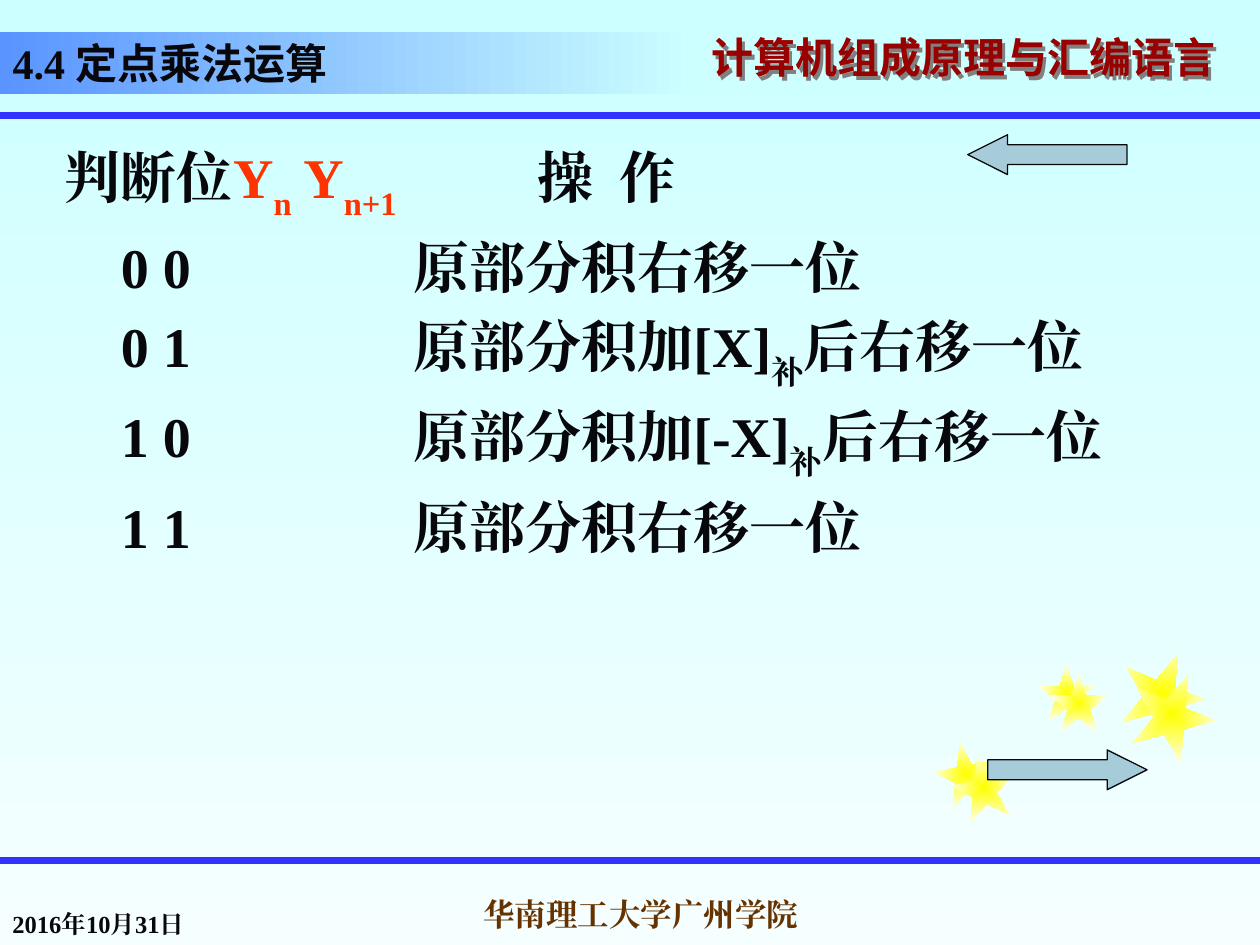
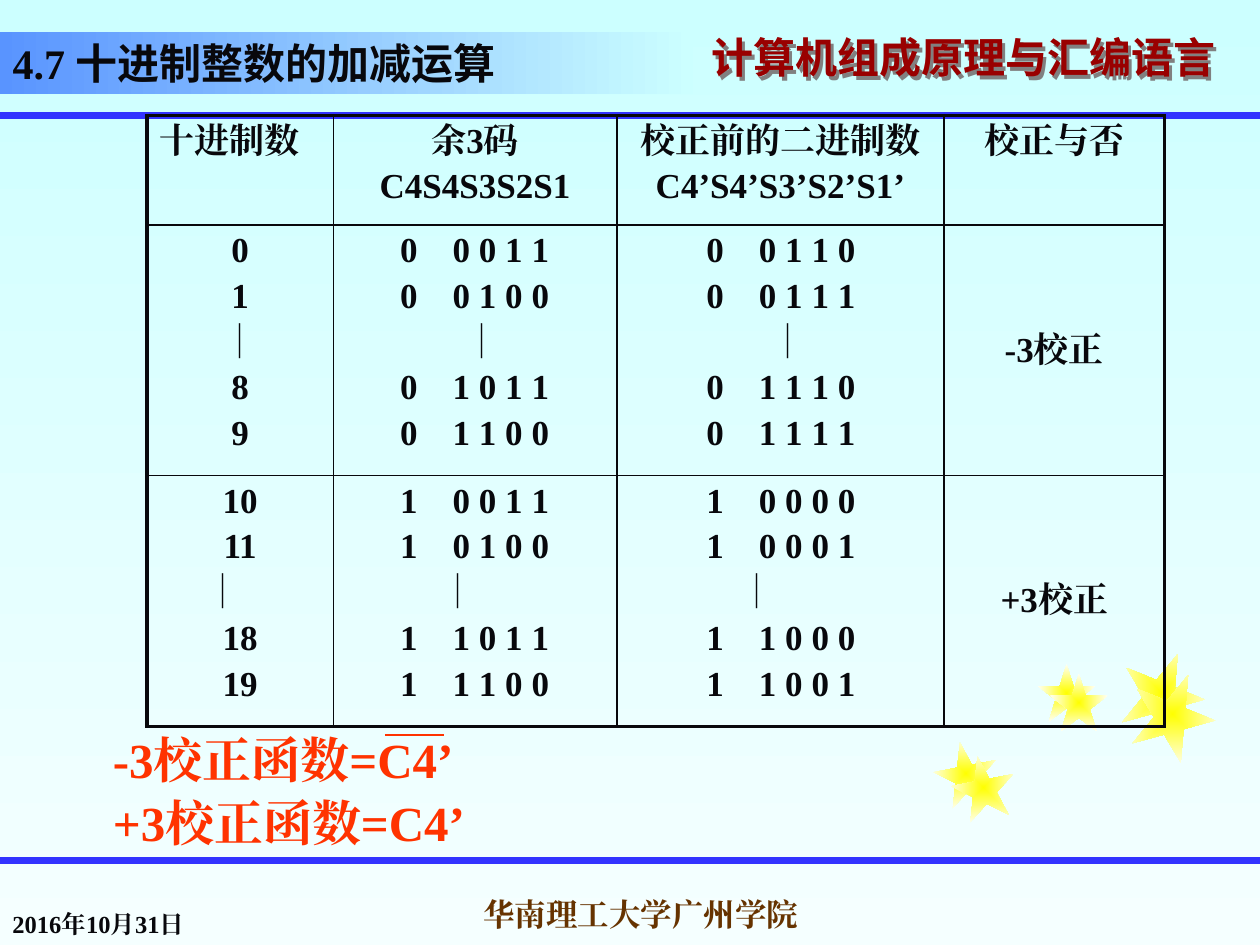
from lxml.etree import SubElement
from pptx import Presentation
from pptx.dml.color import RGBColor
from pptx.enum.shapes import MSO_CONNECTOR, MSO_SHAPE
from pptx.enum.text import MSO_ANCHOR, MSO_AUTO_SIZE, PP_ALIGN
from pptx.oxml.ns import qn
from pptx.util import Pt

INK = RGBColor(0x08, 0x08, 0x0C)
CRIMSON = RGBColor(0x99, 0x00, 0x00)
BROWN = RGBColor(0x66, 0x33, 0x00)
ORANGE = RGBColor(0xFF, 0x33, 0x00)
RULE_BLUE = RGBColor(0x33, 0x33, 0xFF)
BAND_BLUE = RGBColor(0x59, 0x94, 0xFF)
SKY = RGBColor(0xCC, 0xFF, 0xFF)
PALE = RGBColor(0xF5, 0xFF, 0xFF)
YELLOW = RGBColor(0xFF, 0xFF, 0x00)
CREAM = RGBColor(0xFF, 0xFF, 0xF5)
ARROW_FILL = RGBColor(0xA7, 0xCC, 0xD9)

SERIF = "Times New Roman"
SANS = "Noto Sans CJK SC"
BAR = "｜"

# Stars: left, top, size, rotation
STARS = [
    (534, 424, 36, 349), (593, 379.5, 33, 0), (640, 372, 48, 22),
    (544, 432, 36, 349), (600, 385, 33, 0), (646, 384, 48, 22),
]

# Table geometry
COLUMN_WIDTHS = [106.5, 162, 187, 126]
ROW_HEIGHTS = [62.5, 141, 137]
CODE_TABS = [None, (31, 61), (44, 74)]
BAR_INDENTS = [(None, 67.5, 80.5), (26, 54, 63)]


# Text
def add_span(para, text, size, color, font=SERIF, baseline=0):
    span = para.add_run()
    span.text = text
    span.font.size = Pt(size)
    span.font.bold = True
    span.font.color.rgb = color
    span.font.name = font
    properties = span._r.get_or_add_rPr()
    SubElement(properties, qn("a:ea"), typeface=font)
    if baseline:
        properties.set("baseline", str(baseline * 1000))


def next_para(frame, align=PP_ALIGN.LEFT, tabs=(), line_spacing=None):
    """Start a paragraph; all but the first get 20% space before."""
    first = frame.paragraphs[0]
    para = frame.add_paragraph() if first.runs else first
    para.alignment = align
    if line_spacing:
        para.line_spacing = line_spacing
    properties = para._p.get_or_add_pPr()
    if para is not first:
        para.space_before = Pt(0)
        spacing = properties.find(qn("a:spcBef"))
        spacing.remove(spacing[0])
        SubElement(spacing, qn("a:spcPct"), val="20000")
    if tabs:
        tab_list = SubElement(properties, qn("a:tabLst"))
        for stop in tabs:
            SubElement(tab_list, qn("a:tab"), pos=str(Pt(stop)), algn="l")
    return para


def add_box(page, left, top, width, height, anchor=MSO_ANCHOR.TOP, wrap=True):
    box = page.shapes.add_textbox(Pt(left), Pt(top), Pt(width), Pt(height))
    box.text_frame.word_wrap = wrap
    box.text_frame.vertical_anchor = anchor
    return box


# Fills, lines and shapes
def set_gradient(fill, start, end, angle=0):
    fill.gradient()
    fill.gradient_angle = angle
    for stop, color, position in zip(fill.gradient_stops, (start, end), (0, 1)):
        stop.color.rgb = color
        stop.position = position


def add_line(page, left, right, y, color, weight):
    line = page.shapes.add_connector(
        MSO_CONNECTOR.STRAIGHT, Pt(left), Pt(y), Pt(right), Pt(y))
    line.line.color.rgb = color
    line.line.width = Pt(weight)
    SubElement(line._element.spPr, qn("a:effectLst"))


def add_star(page, left, top, size, rotation):
    star = page.shapes.add_shape(
        MSO_SHAPE.STAR_5_POINT, Pt(left), Pt(top), Pt(size), Pt(size))
    star.rotation = rotation
    star.shadow.inherit = False
    star.line.fill.background()
    set_gradient(star.fill, YELLOW, CREAM)
    gradient = star._element.spPr.find(qn("a:gradFill"))
    gradient.remove(gradient.find(qn("a:lin")))
    radial = SubElement(gradient, qn("a:path"))
    radial.set("path", "shape")
    SubElement(radial, qn("a:fillToRect"), l="50000", t="50000", r="50000", b="50000")


def add_arrow(page, preset, left, top):
    arrow = page.shapes.add_shape(preset, Pt(left), Pt(top), Pt(91), Pt(22.75))
    arrow.adjustments[0] = 0.5
    arrow.adjustments[1] = 1
    arrow.shadow.inherit = False
    arrow.fill.solid()
    arrow.fill.fore_color.rgb = ARROW_FILL
    arrow.line.color.rgb = INK
    arrow.line.width = Pt(0.75)


# Shared frame of every slide
def add_course_name(page):
    box = add_box(page, 399.5, 18, 320.5, 36, MSO_ANCHOR.MIDDLE)
    para = next_para(box.text_frame, line_spacing=0.7)
    add_span(para, "计算机组成原理与汇编语言", 24, CRIMSON, SANS)
    effects = SubElement(box._element.spPr, qn("a:effectLst"))
    shadow = SubElement(effects, qn("a:outerShdw"), dist="35900", dir="2700000")
    SubElement(shadow, qn("a:srgbClr"), val="808080")


def add_title(page, number, heading):
    title = page.shapes.title
    title.left, title.top, title.width, title.height = Pt(0), Pt(18), Pt(396), Pt(36)
    set_gradient(title.fill, BAND_BLUE, SKY)
    frame = title.text_frame
    frame.auto_size = MSO_AUTO_SIZE.NONE
    frame.word_wrap = True
    frame.vertical_anchor = MSO_ANCHOR.BOTTOM
    para = next_para(frame)
    add_span(para, number + " ", 24, INK)
    add_span(para, heading, 24, INK, SANS)


def add_page(deck, number, heading):
    page = deck.slides.add_slide(deck.slide_layouts[5])
    set_gradient(page.background.fill, SKY, PALE, 270)
    add_course_name(page)
    for y in (66, 491.75):
        add_line(page, 0, 720, y, RULE_BLUE, 4.5)
    for star in STARS:
        add_star(page, *star)
    date = add_box(page, 0, 504, 150, 36, MSO_ANCHOR.BOTTOM)
    add_span(next_para(date.text_frame), "2016年10月31日", 14, INK)
    school = add_box(page, 252, 504, 228, 36, MSO_ANCHOR.MIDDLE, wrap=False)
    add_span(next_para(school.text_frame, PP_ALIGN.CENTER),
             "华南理工大学广州学院", 18, BROWN)
    add_title(page, number, heading)
    return page


# Slide 1: operation chosen by the two test bits
def add_operations(page):
    frame = add_box(page, 30, 77.75, 642, 397.5).text_frame
    header = next_para(frame, tabs=(270, 317))
    add_span(header, "判断位", 32, INK)
    for text, baseline in (("Y", 0), ("n", -30), (" Y", 0), ("n+1", -30)):
        add_span(header, text, 32, ORANGE, baseline=baseline)
    add_span(header, "\t操\t作", 32, INK)

    shift = "原部分积右移一位"
    for bits, operand in (("0 0", None), ("0 1", "[X]"), ("1 0", "[-X]"), ("1 1", None)):
        para = next_para(frame, tabs=(32, 199))
        if operand:
            add_span(para, f"\t{bits}\t原部分积加{operand}", 32, INK)
            add_span(para, "补", 32, INK, baseline=-30)
            add_span(para, "后右移一位", 32, INK)
        else:
            add_span(para, f"\t{bits}\t{shift}", 32, INK)


# Slide 2: excess-3 correction table
def set_borders(cell, row, column, last_row, last_column):
    properties = cell._tc.get_or_add_tcPr()
    outer_edges = {"L": column == 0, "R": column == last_column,
                   "T": row == 0, "B": row == last_row}
    for index, (side, outer) in enumerate(outer_edges.items()):
        border = SubElement(properties, qn(f"a:ln{side}"), w=str(Pt(2.25 if outer else 1)))
        properties.insert(index, border)
        fill = SubElement(border, qn("a:solidFill"))
        SubElement(fill, qn("a:srgbClr"), val=str(INK))


def code_text(value):
    """Carry bit, then the four sum bits, each group at its tab stop."""
    return f"\t{value >> 4}\t{' '.join(f'{value & 15:04b}')}"


def add_cell_line(cell, text, align=PP_ALIGN.CENTER, tabs=()):
    para = next_para(cell.text_frame, align, tabs)
    add_span(para, text, 20, INK)
    return para


def fill_group(table, row, base, correction):
    for number in (base, base + 1, None, base + 8, base + 9):
        for column, indent in enumerate(BAR_INDENTS[row - 1]):
            cell = table.cell(row, column)
            if number is None:
                align = PP_ALIGN.LEFT if indent else PP_ALIGN.CENTER
                para = add_cell_line(cell, BAR, align)
                if indent:
                    para._p.get_or_add_pPr().set("marL", str(Pt(indent)))
            elif column == 0:
                add_cell_line(cell, str(number))
            else:
                excess_three = 16 * (number // 10) + number % 10 + 3
                value = excess_three if column == 1 else number + 6
                add_cell_line(cell, code_text(value), PP_ALIGN.LEFT, CODE_TABS[column])
    result = table.cell(row, 3)
    result.vertical_anchor = MSO_ANCHOR.MIDDLE
    add_cell_line(result, correction)


def add_correction_table(page):
    rows, columns = len(ROW_HEIGHTS), len(COLUMN_WIDTHS)
    table = page.shapes.add_table(
        rows, columns, Pt(84), Pt(66), Pt(sum(COLUMN_WIDTHS)), Pt(sum(ROW_HEIGHTS))).table
    table.first_row = table.horz_banding = False
    for column, width in zip(table.columns, COLUMN_WIDTHS):
        column.width = Pt(width)
    for row, height in zip(table.rows, ROW_HEIGHTS):
        row.height = Pt(height)
    for row in range(rows):
        for column in range(columns):
            cell = table.cell(row, column)
            cell.fill.background()
            set_borders(cell, row, column, rows - 1, columns - 1)

    headers = [["十进制数"], ["余3码", "C4S4S3S2S1"],
               ["校正前的二进制数", "C4’S4’S3’S2’S1’"], ["校正与否"]]
    for column, lines in enumerate(headers):
        for text in lines:
            align = PP_ALIGN.CENTER if column else PP_ALIGN.LEFT
            add_cell_line(table.cell(0, column), text, align)
    fill_group(table, 1, 0, "-3校正")
    fill_group(table, 2, 10, "+3校正")


def add_correction_functions(page):
    frame = add_box(page, 57.5, 417, 612, 78).text_frame
    for sign in "-+":
        add_span(next_para(frame, line_spacing=0.9), f"{sign}3校正函数=C4’", 28, ORANGE)
    add_line(page, 220, 253.5, 420, ORANGE, 1.5)


def main():
    deck = Presentation()
    deck.slide_width, deck.slide_height = Pt(720), Pt(540)

    page = add_page(deck, "4.4", "定点乘法运算")
    add_operations(page)
    add_arrow(page, MSO_SHAPE.LEFT_ARROW, 553, 77)
    add_arrow(page, MSO_SHAPE.RIGHT_ARROW, 564.5, 428.5)

    page = add_page(deck, "4.7", "十进制整数的加减运算")
    add_correction_table(page)
    add_correction_functions(page)

    deck.save("out.pptx")


if __name__ == "__main__":
    main()
